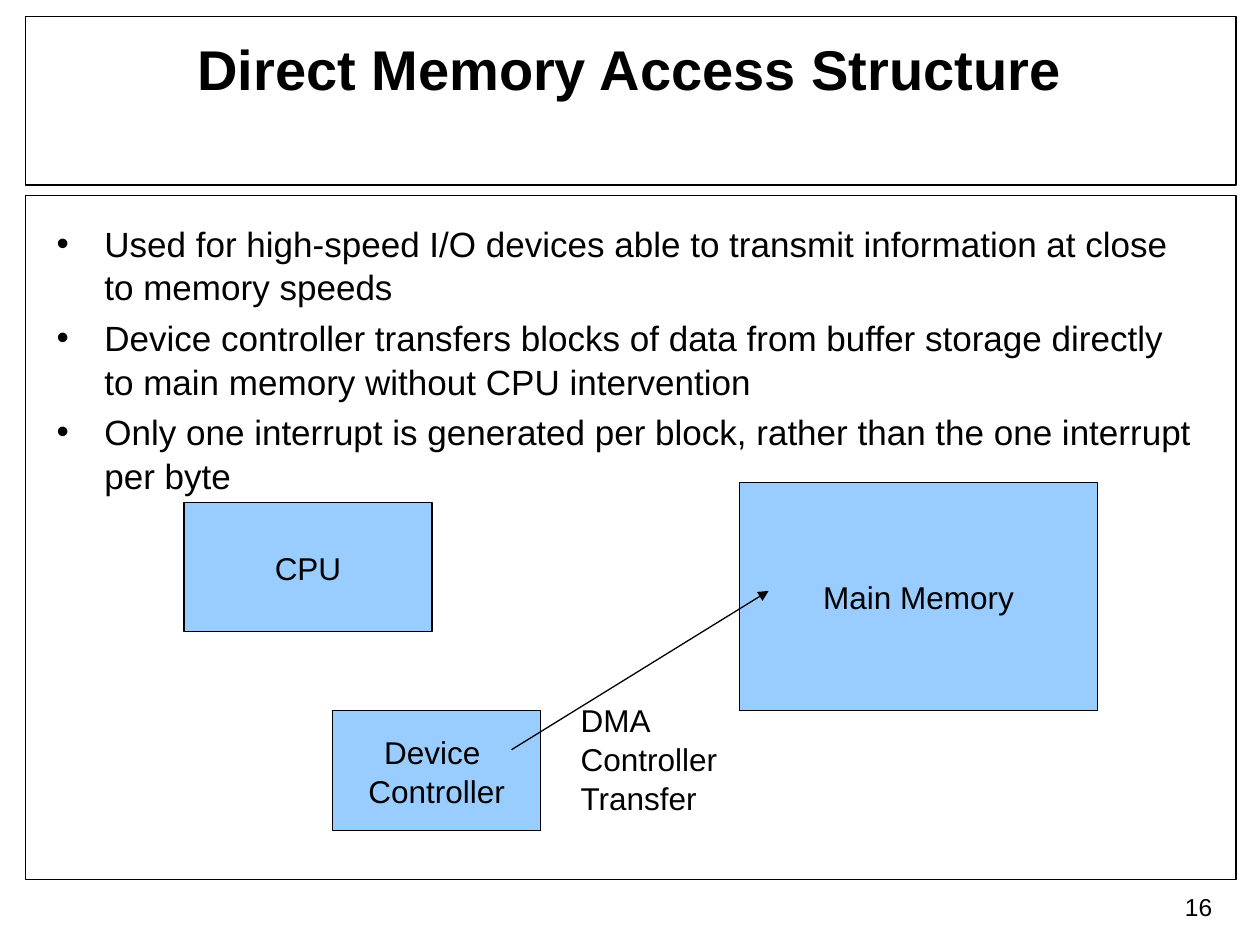
import pptx
import pptx.util
import pptx.dml.color
import pptx.enum.shapes
import pptx.enum.text
import pptx.oxml.ns
import lxml.etree

In = pptx.util.Inches
Pt = pptx.util.Pt
Align = pptx.enum.text.PP_ALIGN
Anchor = pptx.enum.text.MSO_ANCHOR
qn = pptx.oxml.ns.qn


def paint(code):
    return pptx.dml.color.RGBColor.from_string(code)


class Deck:
    """Hold the style and the current slide, and draw each kind of element."""

    font = "Arial"
    ink = "000000"
    sky = "99CCFF"
    thin = 0.75
    lead = 1.04

    def __init__(self):
        self.show = pptx.Presentation()
        self.show.slide_width, self.show.slide_height = In(10), In(7.5)
        self.slide = self.show.slides.add_slide(self.show.slide_layouts[6])

    def style(self, frame, size, align, bold=False):
        for para in frame.paragraphs:
            para.alignment = align
            para.line_spacing = self.lead
            for run in para.runs:
                run.font.name = self.font
                run.font.size = Pt(size)
                run.font.bold = bold
                run.font.color.rgb = paint(self.ink)

    def box(self, area, text="", fill=None):
        kind = pptx.enum.shapes.MSO_SHAPE.RECTANGLE
        shape = self.slide.shapes.add_shape(kind, *map(In, area))
        shape.shadow.inherit = False
        if fill:
            shape.fill.solid()
            shape.fill.fore_color.rgb = paint(fill)
        else:
            shape.fill.background()
        shape.line.color.rgb = paint(self.ink)
        shape.line.width = Pt(self.thin)
        if text:
            frame = shape.text_frame
            frame.text = text
            frame.word_wrap = False
            frame.vertical_anchor = Anchor.MIDDLE
            self.style(frame, 18, Align.CENTER)

    def text(self, area, text, size, align=Align.LEFT, bold=False):
        frame = self.slide.shapes.add_textbox(*map(In, area)).text_frame
        frame.word_wrap = True
        frame.text = text
        self.style(frame, size, align, bold)
        return frame

    def list(self, area, items, size):
        frame = self.text(area, "\n".join(items), size)
        for spot, para in enumerate(frame.paragraphs):
            if spot:
                para.space_before = Pt(size * 0.2)
            props = para._p.get_or_add_pPr()
            props.set("marL", str(In(0.38)))
            props.set("indent", str(In(-0.38)))
            face = lxml.etree.SubElement(props, qn("a:buFont"))
            face.set("typeface", self.font)
            lxml.etree.SubElement(props, qn("a:buChar")).set("char", "•")

    def arrow(self, start, end):
        kind = pptx.enum.shapes.MSO_CONNECTOR.STRAIGHT
        line = self.slide.shapes.add_connector(kind, *map(In, start + end))
        line.line.color.rgb = paint(self.ink)
        line.line.width = Pt(self.thin)
        tail = lxml.etree.SubElement(line.line._get_or_add_ln(), qn("a:tailEnd"))
        tail.set("type", "triangle")
        lxml.etree.SubElement(line._element.spPr, qn("a:effectLst"))


def main():
    deck = Deck()
    deck.box((0.2, 0.13, 9.61, 1.34))
    deck.box((0.2, 1.55, 9.61, 5.43))
    deck.text((8.68, 7.02, 1.04, 0.34), "16", 14, Align.RIGHT)
    title = deck.text((0.35, 0.17, 9.29, 1.25),
                      "Direct Memory Access Structure", 32, Align.CENTER, True)
    title.margin_top = In(0.08)
    deck.list((0.35, 1.7, 9.29, 5.12), (
        "Used for high-speed I/O devices able to transmit information "
        "at close to memory speeds",
        "Device controller transfers blocks of data from buffer storage "
        "directly to main memory without CPU intervention",
        "Only one interrupt is generated per block, rather than the one "
        "interrupt per byte",
    ), 20)
    for area, name in (
        ((2.64, 5.64, 1.65, 0.95), "Device \vController"),
        ((5.87, 3.83, 2.84, 1.81), "Main Memory"),
        ((1.46, 3.99, 1.97, 1.02), "CPU"),
    ):
        deck.box(area, name, deck.sky)
    deck.arrow((4.06, 5.95), (6.1, 4.69))
    label = deck.text((4.51, 5.5, 2.27, 0.77), "DMA\nController Transfer", 18)
    label.margin_right = In(0.8)
    deck.show.save("out.pptx")


if __name__ == "__main__":
    main()
